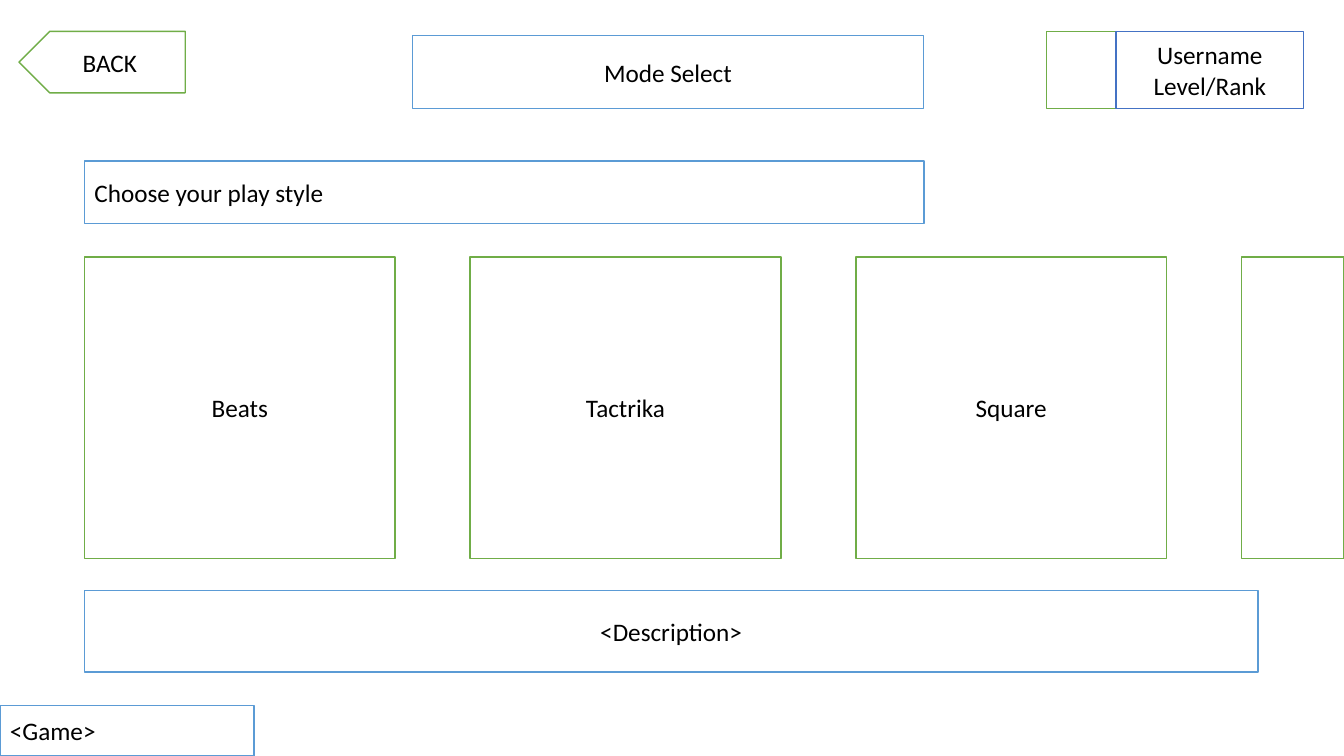
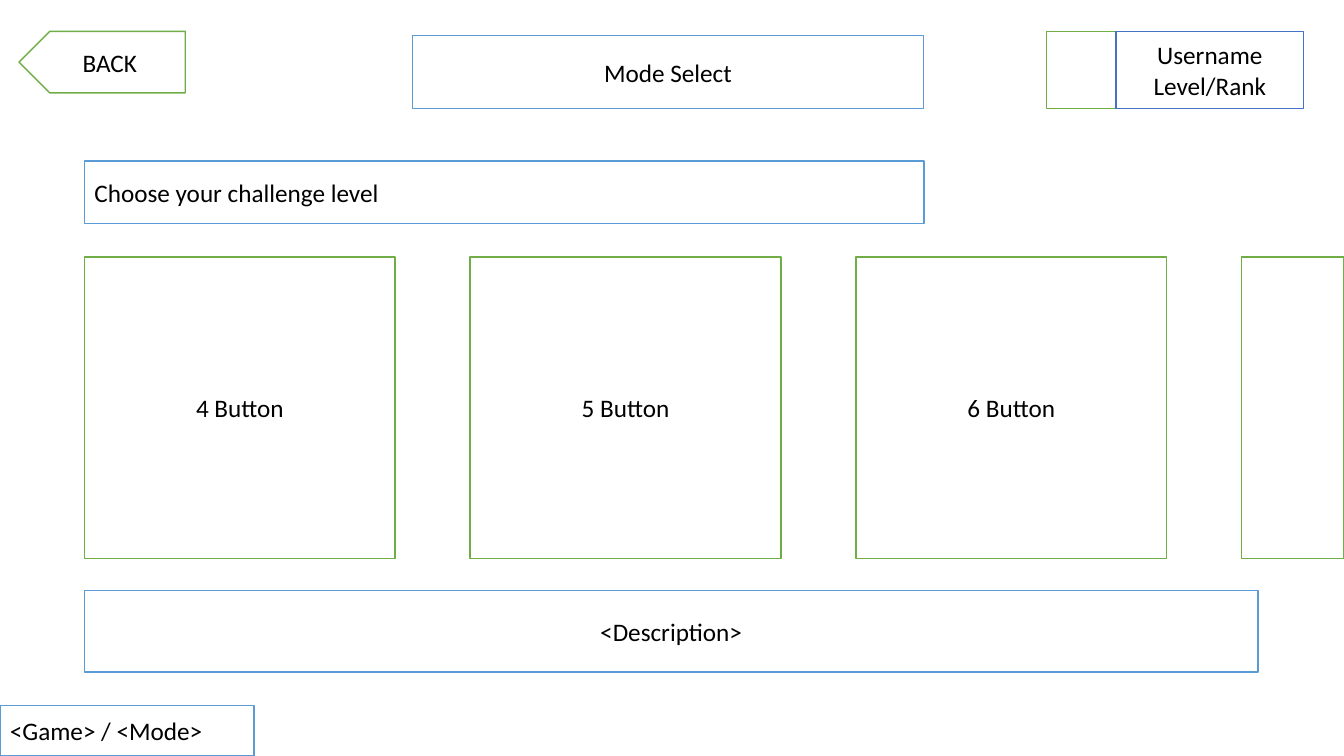
from pptx import Presentation
from pptx.dml.color import RGBColor
from pptx.enum.shapes import MSO_SHAPE as Preset
from pptx.enum.text import MSO_ANCHOR as Anchor, MSO_AUTO_SIZE as AutoSize, PP_ALIGN as Align
from pptx.util import Cm, Pt

WHITE = RGBColor(0xFF, 0xFF, 0xFF)
BLACK = RGBColor(0x00, 0x00, 0x00)
GREEN = RGBColor(0x70, 0xAD, 0x47)
SKY = RGBColor(0x5B, 0x9B, 0xD5)
BLUE = RGBColor(0x44, 0x72, 0xC4)

SLIDE_WIDTH, SLIDE_HEIGHT = 33.87, 19.05
MARGIN = 2.13
CARD_TOP, CARD_WIDTH, CARD_HEIGHT, CARD_PITCH = 6.48, 7.83, 7.59, 9.72
TITLE_ONLY = 5

FRAME_FORMAT = {"word_wrap": True, "auto_size": AutoSize.NONE, "vertical_anchor": Anchor.MIDDLE}
FONT_FORMAT = {"name": "Calibri", "size": Pt(18), "bold": False}


def apply(target, values):
    for name, value in values.items():
        setattr(target, name, value)


class Wireframe:
    def __init__(self):
        self.deck = Presentation()
        self.deck.slide_width = Cm(SLIDE_WIDTH)
        self.deck.slide_height = Cm(SLIDE_HEIGHT)
        self.slide = None

    def new_screen(self):
        self.slide = self.deck.slides.add_slide(self.deck.slide_layouts[TITLE_ONLY])

    def style(self, shape, text, colour, align):
        shape.fill.solid()
        shape.fill.fore_color.rgb = WHITE
        shape.line.color.rgb = colour
        shape.line.width = Pt(1)
        frame = shape.text_frame
        apply(frame, FRAME_FORMAT)
        if text:
            frame.text = text
            paragraph = frame.paragraphs[0]
            paragraph.alignment = align
            for run in paragraph.runs:
                apply(run.font, FONT_FORMAT)
                run.font.color.rgb = BLACK

    def title(self, text, left, top, width, height):
        heading = self.slide.shapes.title
        apply(heading, {"left": Cm(left), "top": Cm(top), "width": Cm(width), "height": Cm(height)})
        self.style(heading, text, SKY, Align.CENTER)

    def box(self, text, left, top, width, height, colour=SKY, align=Align.CENTER,
            preset=Preset.RECTANGLE):
        shape = self.slide.shapes.add_shape(preset, Cm(left), Cm(top), Cm(width), Cm(height))
        shape.shadow.inherit = False
        self.style(shape, text, colour, align)
        return shape

    def back_button(self):
        arrow = self.box("BACK", 0.48, 0.79, 4.19, 1.55, GREEN, preset=Preset.PENTAGON)
        arrow._element.spPr.xfrm.set("flipH", "1")

    def profile(self):
        self.box("", 26.37, 0.79, 1.76, 1.94, GREEN)
        self.box("Username\vLevel/Rank", 28.13, 0.79, 4.72, 1.94, BLUE)

    def cards(self, labels):
        for column, label in enumerate([*labels, ""]):
            left = MARGIN + column * CARD_PITCH
            width = min(CARD_WIDTH, SLIDE_WIDTH - left)
            self.box(label, left, CARD_TOP, width, CARD_HEIGHT, GREEN)

    def screen(self, prompt, options, breadcrumb):
        self.new_screen()
        self.back_button()
        self.profile()
        self.cards(options)
        self.box("<Description>", MARGIN, 14.88, 29.57, 2.06)
        self.title("Mode Select", 10.39, 0.9, 12.89, 1.84)
        self.box(prompt, MARGIN, 4.06, 21.16, 1.57, align=Align.LEFT)
        self.box(breadcrumb, 0, 17.78, 6.4, 1.27, align=Align.LEFT)


SCREENS = [
    ("Choose your play style", ["Beats", "Tactrika", "Square"], "<Game>"),
    ("Choose your challenge level", [f"{count} Button" for count in (4, 5, 6)], "<Game> / <Mode>"),
]

wireframe = Wireframe()
for prompt, options, breadcrumb in SCREENS:
    wireframe.screen(prompt, options, breadcrumb)
wireframe.deck.save("out.pptx")
